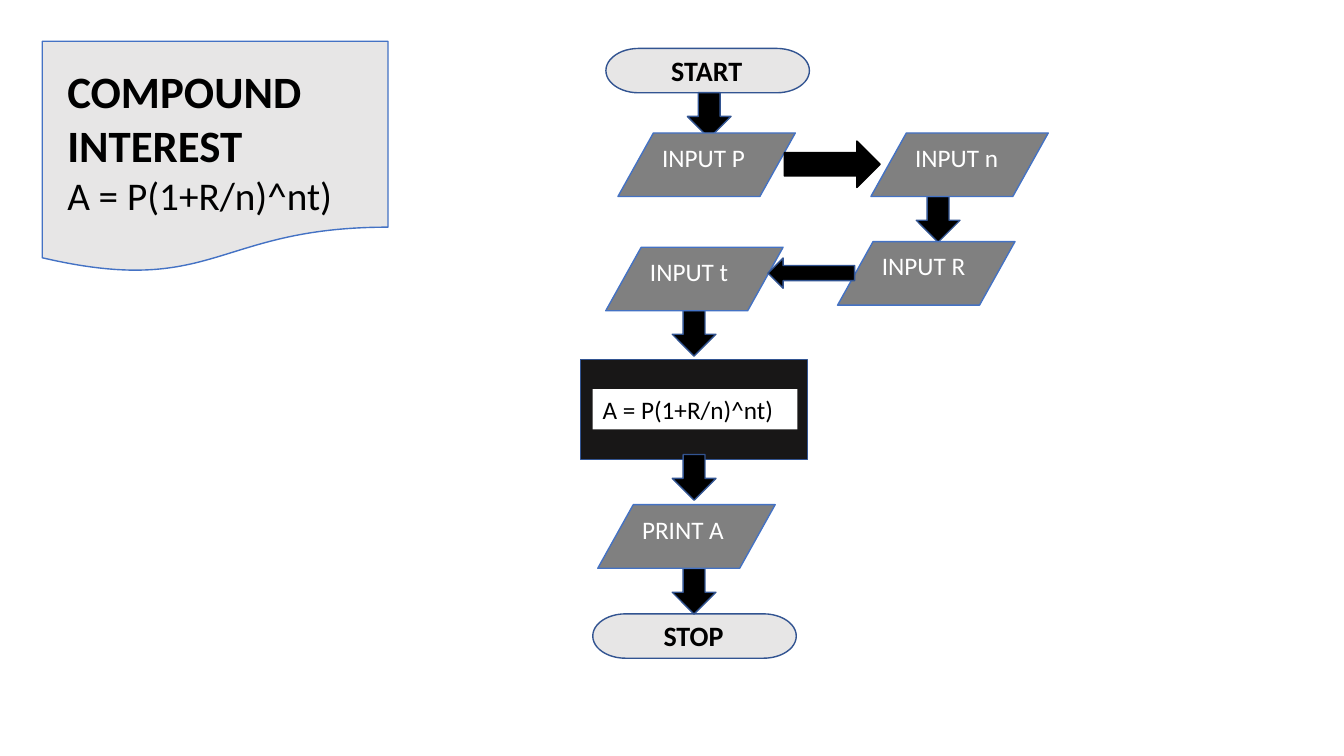
import dataclasses
import typing

import pptx
import pptx.dml.color
import pptx.enum.shapes
import pptx.enum.text
import pptx.util

Pt = pptx.util.Pt
Kind = pptx.enum.shapes.MSO_SHAPE
Align = pptx.enum.text.PP_ALIGN

BLACK, WHITE, PALE, GREY, CHARCOAL = "000000", "FFFFFF", "E7E6E6", "808080", "181717"
BLUE, NAVY = "4472C4", "325491"
FORMULA = "A = P(1+R/n)^nt)"

TITLE_FORMAT = {"size": Pt(32), "bold": True}
TITLE_FORMULA_FORMAT = {"size": Pt(28), "bold": False}
TERMINATOR_FORMAT = {"size": Pt(20), "bold": True}
STEP_FORMAT = {"size": Pt(18), "bold": False}


@dataclasses.dataclass
class Box:
    left: float
    top: float
    width: float
    height: float


@dataclasses.dataclass
class Step:
    text: str
    left: float
    top: float


@dataclasses.dataclass
class Arrow:
    kind: Kind
    box: Box
    outline: str = NAVY


@dataclasses.dataclass
class Line:
    text: str
    format: dict[str, typing.Any]


TERMINATORS = [Step("START", 432.8, 34.6), Step("STOP", 423.4, 438.5)]
INPUTS = [
    Step("INPUT P", 441.4, 95),
    Step("INPUT n", 622.1, 95),
    Step("INPUT t", 432.7, 176.6),
    Step("INPUT R", 598.3, 172.6),
    Step("PRINT A", 427, 360.5),
]
DOWN_ARROWS = [
    Arrow(Kind.DOWN_ARROW, Box(left, top, 31.2, 32.6))
    for left, top in [(491, 66.2), (654.5, 140.4), (480.2, 221.8), (480.2, 324.7), (480.2, 406.1)]
]
SIDE_ARROWS = [
    Arrow(Kind.RIGHT_ARROW, Box(560.2, 100.8, 68.4, 33.1), BLACK),
    Arrow(Kind.LEFT_ARROW, Box(548.6, 184.3, 61.9, 21.6)),
]


def color(value: str) -> pptx.dml.color.RGBColor:
    return pptx.dml.color.RGBColor.from_string(value)


def place(box: Box) -> list[pptx.util.Length]:
    return [Pt(length) for length in (box.left, box.top, box.width, box.height)]


def draw_shape(shapes: typing.Any, kind: Kind, box: Box, fill: str, outline: str) -> None:
    shape = shapes.add_shape(kind, *place(box))
    shape.shadow.inherit = False
    shape.fill.solid()
    shape.fill.fore_color.rgb = color(fill)
    shape.line.color.rgb = color(outline)
    shape.line.width = Pt(1)


def draw_text(shapes: typing.Any, box: Box, lines: list[Line], ink: str = BLACK,
              fill: str | None = None, align: Align = Align.LEFT) -> None:
    label = shapes.add_textbox(*place(box))
    if fill:
        label.fill.solid()
        label.fill.fore_color.rgb = color(fill)
    frame = label.text_frame
    frame.word_wrap = True
    for index, line in enumerate(lines):
        para = frame.add_paragraph() if index else frame.paragraphs[0]
        para.alignment = align
        span = para.add_run()
        span.text = line.text
        span.font.color.rgb = color(ink)
        for name, value in {"name": "Calibri", **line.format}.items():
            setattr(span.font, name, value)


def draw_terminator(page: typing.Any, step: Step) -> None:
    shapes = page.shapes.add_group_shape().shapes
    draw_shape(shapes, Kind.FLOWCHART_TERMINATOR, Box(step.left, step.top, 145.4, 31.7), PALE, NAVY)
    draw_text(shapes, Box(step.left + 25.2, step.top, 93.6, 31.7),
              [Line(step.text, TERMINATOR_FORMAT)], align=Align.CENTER)


def draw_input(page: typing.Any, step: Step) -> None:
    shapes = page.shapes.add_group_shape().shapes
    draw_shape(shapes, Kind.FLOWCHART_DATA, Box(step.left, step.top, 126.7, 45.4), GREY, BLUE)
    draw_text(shapes, Box(step.left + 24.5, step.top + 3, 77.8, 28.8),
              [Line(step.text, STEP_FORMAT)], ink=WHITE)


def draw_arrow(page: typing.Any, arrow: Arrow) -> None:
    draw_shape(page.shapes, arrow.kind, arrow.box, BLACK, arrow.outline)


def main() -> None:
    deck = pptx.Presentation()
    deck.slide_width, deck.slide_height = Pt(960), Pt(540)
    page = deck.slides.add_slide(deck.slide_layouts[6])

    # Title card
    card = page.shapes.add_group_shape().shapes
    draw_shape(card, Kind.FLOWCHART_DOCUMENT, Box(30.2, 29.5, 247, 165.6), PALE, BLUE)
    draw_text(card, Box(41, 41.8, 218.9, 118.8),
              [Line("COMPOUND INTEREST", TITLE_FORMAT), Line(FORMULA, TITLE_FORMULA_FORMAT)],
              fill=PALE)

    # Calculation
    process = page.shapes.add_group_shape().shapes
    draw_shape(process, Kind.FLOWCHART_PROCESS, Box(414.7, 257, 162, 71.3), CHARCOAL, NAVY)
    draw_text(process, Box(423.4, 277.9, 146.2, 28.8), [Line(FORMULA, STEP_FORMAT)], fill=WHITE)

    # Steps, with the downward arrows behind the inputs and the side arrows in front
    for step in TERMINATORS:
        draw_terminator(page, step)
    for arrow in DOWN_ARROWS:
        draw_arrow(page, arrow)
    for step in INPUTS:
        draw_input(page, step)
    for arrow in SIDE_ARROWS:
        draw_arrow(page, arrow)

    deck.save("out.pptx")


if __name__ == "__main__":
    main()
